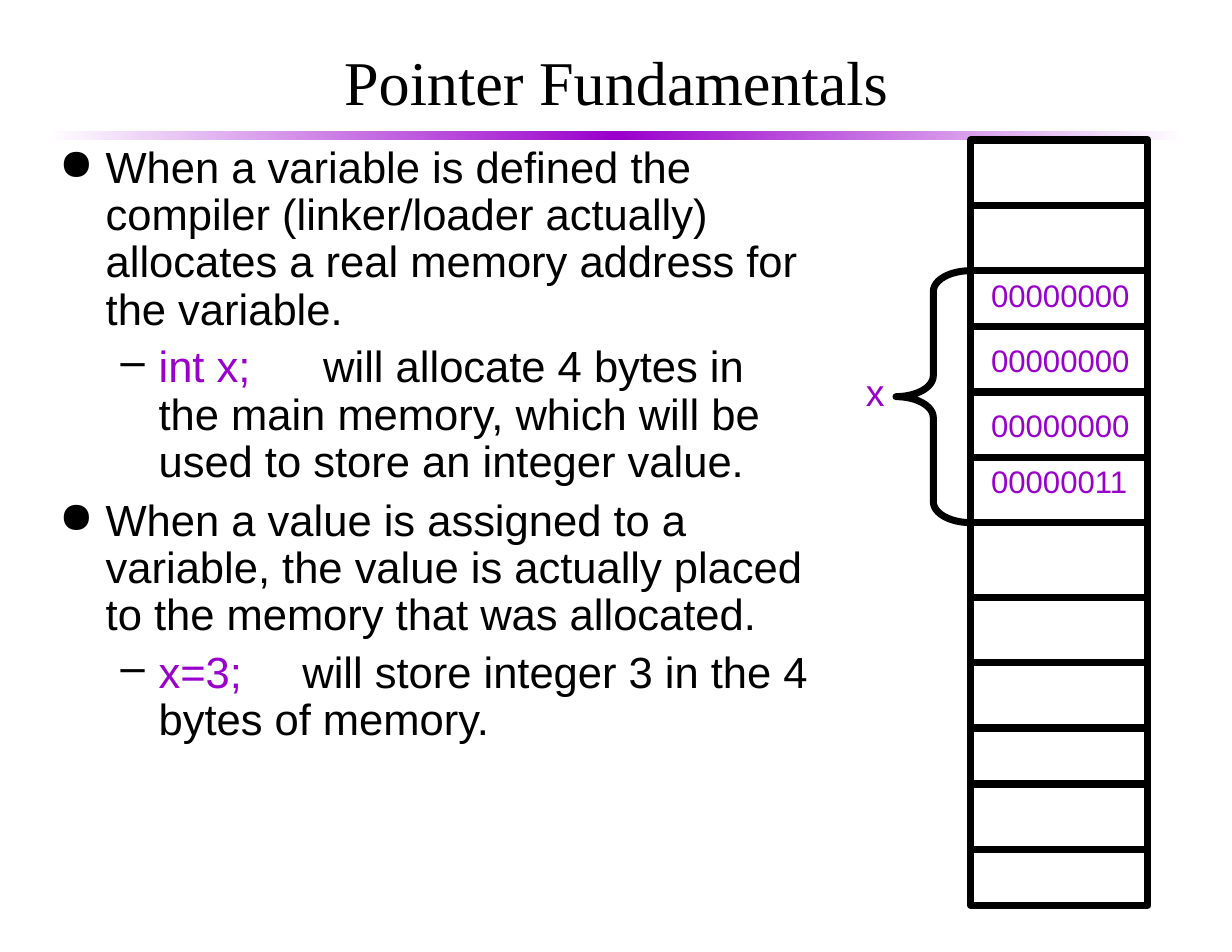
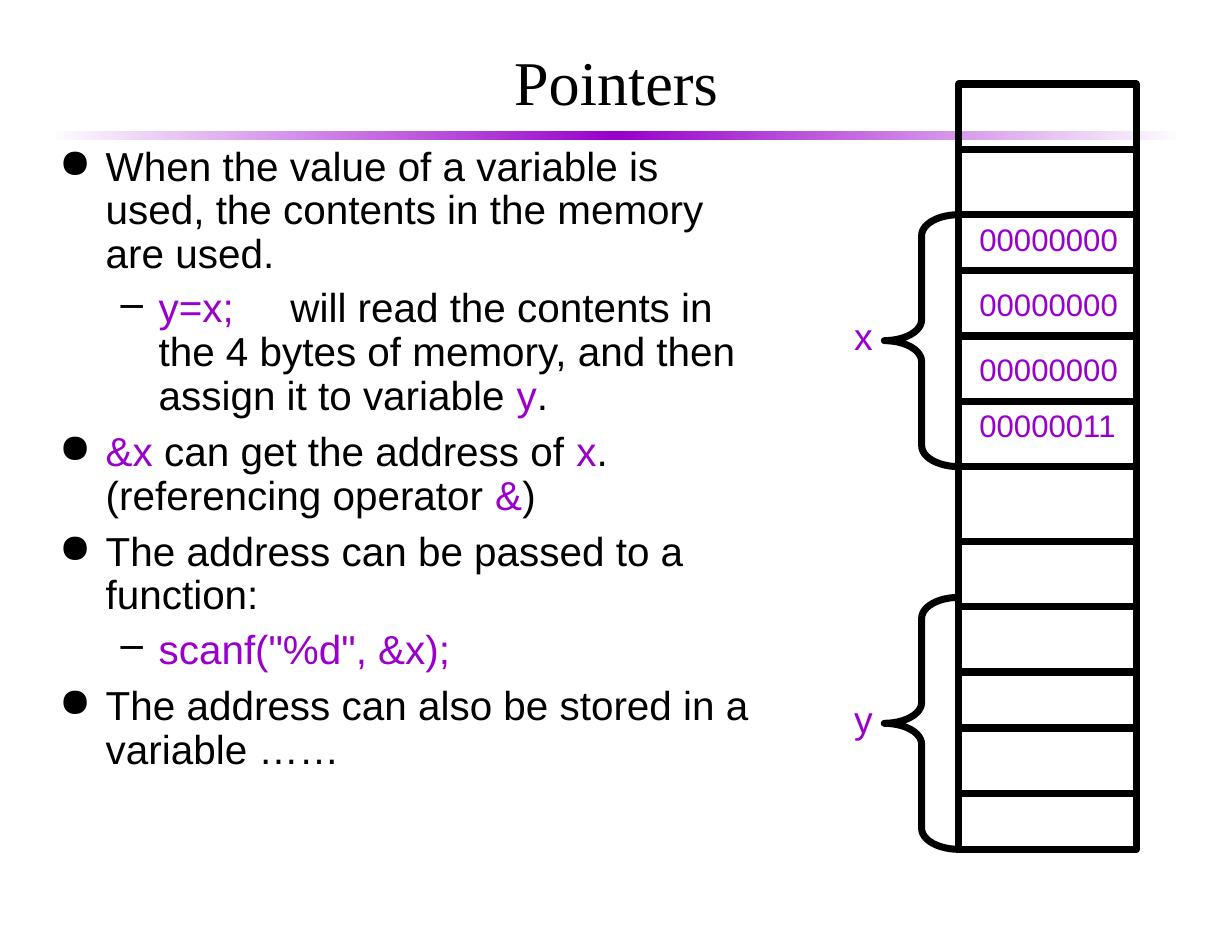
from copy import deepcopy
from itertools import accumulate

from lxml.etree import SubElement
from pptx import Presentation
from pptx.dml.color import RGBColor
from pptx.enum.shapes import MSO_CONNECTOR as Connector, MSO_SHAPE as Shape
from pptx.enum.text import MSO_ANCHOR as Anchor, PP_ALIGN as Align
from pptx.oxml.ns import qn
from pptx.util import Pt

BLACK = RGBColor(0x00, 0x00, 0x00)
WHITE = RGBColor(0xFF, 0xFF, 0xFF)
PURPLE = RGBColor(0x99, 0x00, 0xCC)
TITLE_FONT, BODY_FONT = "Times New Roman", "Arial"
STROKE = Pt(4.5)

BULLETS = (("●", 30, -30, 8), ("–", 64, -24.5, 7))
ROW_HEIGHTS = (42, 42, 36, 42, 42, 42, 48, 42, 42, 36, 42, 36)
COLUMN_WIDTH = 114
BYTES = ((84, "00000000"), (126, "00000000"), (168, "00000000"), (204, "00000011"))

FUNDAMENTALS = (
    (0, "When a variable is defined the compiler (linker/loader actually) "
        "allocates a real memory address for the variable.", 0),
    (1, "|int x;| will allocate 4 bytes in the main memory, "
        "which will be used to store an integer value.", 39),
    (0, "When a value is assigned to a variable, the value is actually placed "
        "to the memory that was allocated.", 0),
    (1, "|x=3;| will store integer 3 in the 4 bytes of memory.", 31),
)
POINTERS = (
    (0, "When the value of a variable is used, the contents in the memory are used.", 0),
    (1, "|y=x;| will read the contents in the 4 bytes of memory, "
        "and then assign it to variable |y|.", 29),
    (0, "|&x |can get the address of |x|. (referencing operator |&|)", 0),
    (0, "The address can be passed to a function:", 0),
    (1, '|scanf("%d", &x);|', 0),
    (0, "The address can also be stored in a variable ……", 0),
)


class Deck:
    """Holds the shared style and the slide being built."""

    def __init__(self):
        self.presentation = Presentation()
        self.presentation.slide_width = Pt(792)
        self.presentation.slide_height = Pt(612)
        self.slide = None

    def start_slide(self, title):
        self.slide = self.presentation.slides.add_slide(self.presentation.slide_layouts[6])
        self.band()
        heading = self.text_frame(42, 20, 708, 63.5, (8, 4))
        heading.vertical_anchor = Anchor.MIDDLE
        heading.text = title
        heading.paragraphs[0].alignment = Align.CENTER
        self.style(heading.paragraphs[0], TITLE_FONT, 40, BLACK)

    def band(self):
        band = self.preset(Shape.RECTANGLE, 30, 84, 732, 6)
        band.line.fill.background()
        band.fill.gradient()
        band.fill.gradient_angle = 0
        stops = band._element.spPr.find(".//" + qn("a:gsLst"))
        stops.append(deepcopy(stops[0]))
        for stop, position, color in zip(
            band.fill.gradient_stops, (0, 0.5, 1), (WHITE, PURPLE, WHITE)
        ):
            stop.position = position
            stop.color.rgb = color

    def preset(self, kind, left, top, width, height):
        shape = self.slide.shapes.add_shape(kind, Pt(left), Pt(top), Pt(width), Pt(height))
        shape.shadow.inherit = False
        shape.fill.background()
        shape.line.color.rgb = BLACK
        shape.line.width = STROKE
        return shape

    def text_frame(self, left, top, width, height, insets, wrap=True):
        frame = self.slide.shapes.add_textbox(
            Pt(left), Pt(top), Pt(width), Pt(height)
        ).text_frame
        frame.word_wrap = wrap
        frame.margin_left = frame.margin_right = Pt(insets[0])
        frame.margin_top = frame.margin_bottom = Pt(insets[1])
        return frame

    def style(self, paragraph, font, size, color):
        paragraph.font.name = font
        paragraph.font.size = Pt(size)
        paragraph.font.color.rgb = color

    def label(self, text, left, top, width, height, size):
        frame = self.text_frame(left, top, width, height, (7.2, 3.6), wrap=False)
        frame.text = text
        self.style(frame.paragraphs[0], BODY_FONT, size, PURPLE)

    def bullet(self, paragraph, level):
        mark, margin, indent, before = BULLETS[level]
        paragraph.level = level
        paragraph.line_spacing = 0.9
        paragraph.space_before = Pt(before)
        properties = paragraph._p.get_or_add_pPr()
        properties.set("marL", str(Pt(margin)))
        properties.set("indent", str(Pt(indent)))
        color = SubElement(properties, qn("a:buClr"))
        SubElement(color, qn("a:srgbClr"), val=str(BLACK))
        SubElement(properties, qn("a:buChar"), char=mark)

    def body(self, points, width, size):
        frame = self.text_frame(30, 90, width, 492, (8, 4))
        for number, (level, text, gap) in enumerate(points):
            paragraph = frame.add_paragraph() if number else frame.paragraphs[0]
            self.bullet(paragraph, level)
            self.style(paragraph, BODY_FONT, size, BLACK)
            for index, piece in enumerate(text.split("|")):
                if gap and index == 2:
                    space = paragraph.add_run()
                    space.text = " "
                    space._r.get_or_add_rPr().set("spc", str(gap * 100))
                    piece = piece.lstrip()
                if piece:
                    run = paragraph.add_run()
                    run.text = piece
                    run.font.color.rgb = PURPLE if index % 2 else BLACK
        frame.paragraphs[0].space_before = Pt(0)

    def divider(self, left, y):
        line = self.slide.shapes.add_connector(
            Connector.STRAIGHT, Pt(left), Pt(y), Pt(left + COLUMN_WIDTH), Pt(y)
        )
        line.line.color.rgb = BLACK
        line.line.width = STROKE
        SubElement(line._element.spPr, qn("a:effectLst"))

    def memory(self, left, top, variables):
        self.preset(Shape.RECTANGLE, left, top, COLUMN_WIDTH, sum(ROW_HEIGHTS))
        for offset in accumulate(ROW_HEIGHTS[:-1]):
            self.divider(left, top + offset)
        for offset, bits in BYTES:
            self.label(bits, left + 6, top + offset, 104, 32, 20)
        for variable, offset in variables:
            brace = self.preset(Shape.LEFT_BRACE, left - 48, top + offset, 48, 162)
            brace.adjustments[0] = 0.28
            brace.adjustments[1] = 0.5
            self.label(variable, left - 74.5, top + offset + 60, 26.5, 36, 24)


def main():
    deck = Deck()
    deck.start_slide("Pointer Fundamentals")
    deck.body(FUNDAMENTALS, 498, 28)
    deck.memory(624, 90, [("x", 84)])
    deck.start_slide("Pointers")
    deck.body(POINTERS, 462, 26)
    deck.memory(616.5, 54, [("x", 84), ("y", 330)])
    deck.presentation.save("out.pptx")


if __name__ == "__main__":
    main()
